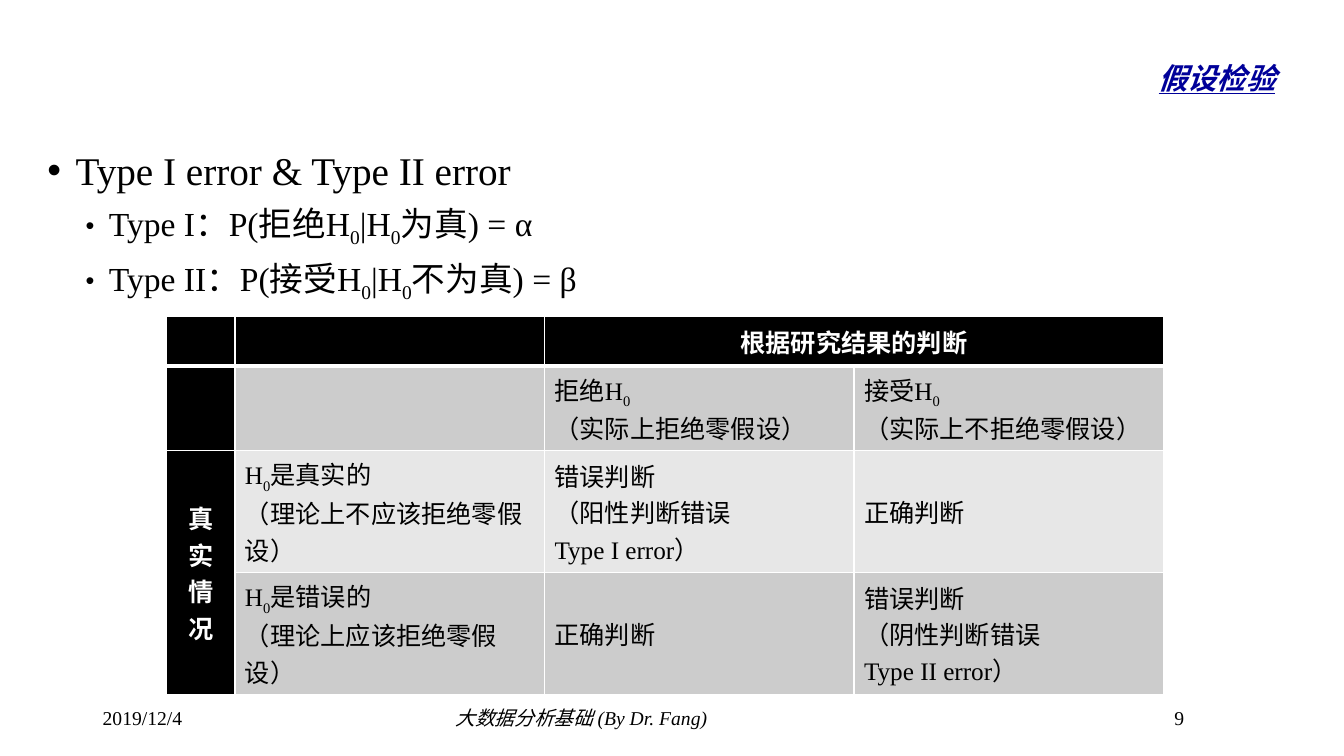
import pptx
import pptx.dml.color
import pptx.enum.text
import pptx.oxml
import pptx.oxml.ns
import pptx.util
from dataclasses import dataclass

Inches = pptx.util.Inches
Align = pptx.enum.text.PP_ALIGN
Anchor = pptx.enum.text.MSO_ANCHOR


@dataclass(frozen=True)
class Theme:
    font: str = "Times New Roman"
    title: str = "000099"
    ink: str = "000000"
    paper: str = "FFFFFF"
    band_dark: str = "CCCCCC"
    band_light: str = "E7E7E7"
    title_size: int = 36
    bullet_sizes: tuple = (28, 24)
    table_size: int = 18
    footer_size: int = 14
    thin: int = 1
    thick: int = 3
    subscript: int = -25


THEME = Theme()

BULLETS = [
    (0, "Type I error & Type II error"),
    (1, "Type I：P(拒绝H_0|H_0为真) = α"),
    (1, "Type II：P(接受H_0|H_0不为真) = β"),
]
COLUMN_WIDTHS = (0.68, 3.07, 3.07, 3.07)
ROW_HEIGHTS = (0.49, 0.84, 1.21, 1.21)
DECISIONS = [
    ["", "", "根据研究结果的判断", ""],
    ["", "", "拒绝H_0\n（实际上拒绝零假设）", "接受H_0\n（实际上不拒绝零假设）"],
    ["真实情况", "H_0是真实的\n（理论上不应该拒绝零假设）",
     "错误判断\n（阳性判断错误\nType I error）", "正确判断"],
    ["", "H_0是错误的\n（理论上应该拒绝零假设）",
     "正确判断", "错误判断\n（阴性判断错误\nType II error）"],
]
FOOTERS = [
    (11.55, 0.87, "9", False),
    (4.42, 6.42, "大数据分析基础 (By Dr. Fang)", True),
    (0.92, 3, "2019/12/4", False),
]


def rgb(color):
    return pptx.dml.color.RGBColor.from_string(color)


def place(shape, left, top, width, height):
    shape.left, shape.top = Inches(left), Inches(top)
    shape.width, shape.height = Inches(width), Inches(height)


def write(paragraph, text, size, color=THEME.ink, bold=False, italic=False,
          underline=False, baseline=0, align=Align.LEFT):
    """Add text to a paragraph; the character after "_" becomes a subscript."""
    paragraph.alignment = align
    first, *rest = text.split("_")
    pieces = [(first, baseline)]
    for part in rest:
        pieces += [(part[0], THEME.subscript), (part[1:], baseline)]
    for piece, offset in pieces:
        if not piece:
            continue
        run = paragraph.add_run()
        run.text = piece
        font = run.font
        font.name, font.size = THEME.font, pptx.util.Pt(size)
        font.bold, font.italic, font.underline = bold, italic, underline
        font.color.rgb = rgb(color)
        if offset:
            run._r.get_or_add_rPr().set("baseline", str(offset * 1000))


def add_paragraphs(text_frame, lines):
    """Yield one paragraph for each line, starting with the existing one."""
    for index, line in enumerate(lines):
        yield (text_frame.add_paragraph() if index else text_frame.paragraphs[0]), line


def xml(markup):
    return pptx.oxml.parse_xml(markup.replace(" ", f" {pptx.oxml.ns.nsdecls('a')} ", 1))


def set_bullet(paragraph, indent, hanging, percent):
    properties = paragraph._p.get_or_add_pPr()
    properties.set("marL", str(Inches(indent)))
    properties.set("indent", str(-Inches(hanging)))
    properties.append(xml(f'<a:buSzPct val="{percent * 1000}"/>'))
    properties.append(xml('<a:buChar char="•"/>'))


def add_title(slide):
    title = slide.shapes.title
    place(title, 1.94, 0.05, 10.81, 1.1)
    title.text_frame.vertical_anchor = Anchor.MIDDLE
    write(title.text_frame.paragraphs[0], "假设检验", THEME.title_size, THEME.title,
          bold=True, italic=True, underline=True, baseline=THEME.subscript,
          align=Align.RIGHT)


def add_bullets(slide):
    body = slide.placeholders[1]
    place(body, 0.37, 1.31, 12.6, 5.59)
    for paragraph, (level, text) in add_paragraphs(body.text_frame, BULLETS):
        paragraph.level = level
        paragraph.line_spacing = 1.2
        paragraph.space_before = pptx.util.Pt(0)
        set_bullet(paragraph, *((0.61, 0.23, 75) if level else (0.28, 0.28, 100)))
        write(paragraph, text, THEME.bullet_sizes[level])


def set_borders(cell, row):
    thick_sides = {0: "B", 1: "T"}
    for side in "LRTB":
        points = THEME.thick if thick_sides.get(row) == side else THEME.thin
        cell._tc.get_or_add_tcPr().append(xml(
            f'<a:ln{side} w="{pptx.util.Pt(points)}"><a:solidFill>'
            f'<a:srgbClr val="{THEME.paper}"/></a:solidFill></a:ln{side}>'))


def fill_cell(cell, row, column, text):
    header = row == 0 or column == 0
    band = THEME.band_light if row == 2 else THEME.band_dark
    set_borders(cell, row)
    cell.fill.solid()
    cell.fill.fore_color.rgb = rgb(THEME.ink if header else band)
    cell.vertical_anchor = Anchor.MIDDLE
    if not text:
        return
    for paragraph, line in add_paragraphs(cell.text_frame, text.split("\n")):
        write(paragraph, line, THEME.table_size,
              THEME.paper if header else THEME.ink, bold=header,
              align=Align.CENTER if header else Align.LEFT)


def add_decision_table(slide):
    frame = slide.shapes.add_table(
        len(ROW_HEIGHTS), len(COLUMN_WIDTHS), Inches(1.65), Inches(3.14),
        Inches(sum(COLUMN_WIDTHS)), Inches(sum(ROW_HEIGHTS)))
    table = frame.table
    for column, width in zip(table.columns, COLUMN_WIDTHS):
        column.width = Inches(width)
    for row, height in zip(table.rows, ROW_HEIGHTS):
        row.height = Inches(height)
    table.cell(0, 2).merge(table.cell(0, 3))
    table.cell(2, 0).merge(table.cell(3, 0))
    for row, texts in enumerate(DECISIONS):
        for column, text in enumerate(texts):
            fill_cell(table.cell(row, column), row, column, text)


def add_footer(slide, left, width, text, italic):
    box = slide.shapes.add_textbox(Inches(left), Inches(6.95), Inches(width), Inches(0.4))
    box.text_frame.word_wrap = True
    write(box.text_frame.paragraphs[0], text, THEME.footer_size, italic=italic)


def main():
    presentation = pptx.Presentation()
    presentation.slide_width, presentation.slide_height = Inches(13.33), Inches(7.5)
    slide = presentation.slides.add_slide(presentation.slide_layouts[1])
    # Heading and list
    add_title(slide)
    add_bullets(slide)
    # Footer line
    for footer in FOOTERS:
        add_footer(slide, *footer)
    # Decision outcomes
    add_decision_table(slide)
    presentation.save("out.pptx")


if __name__ == "__main__":
    main()
